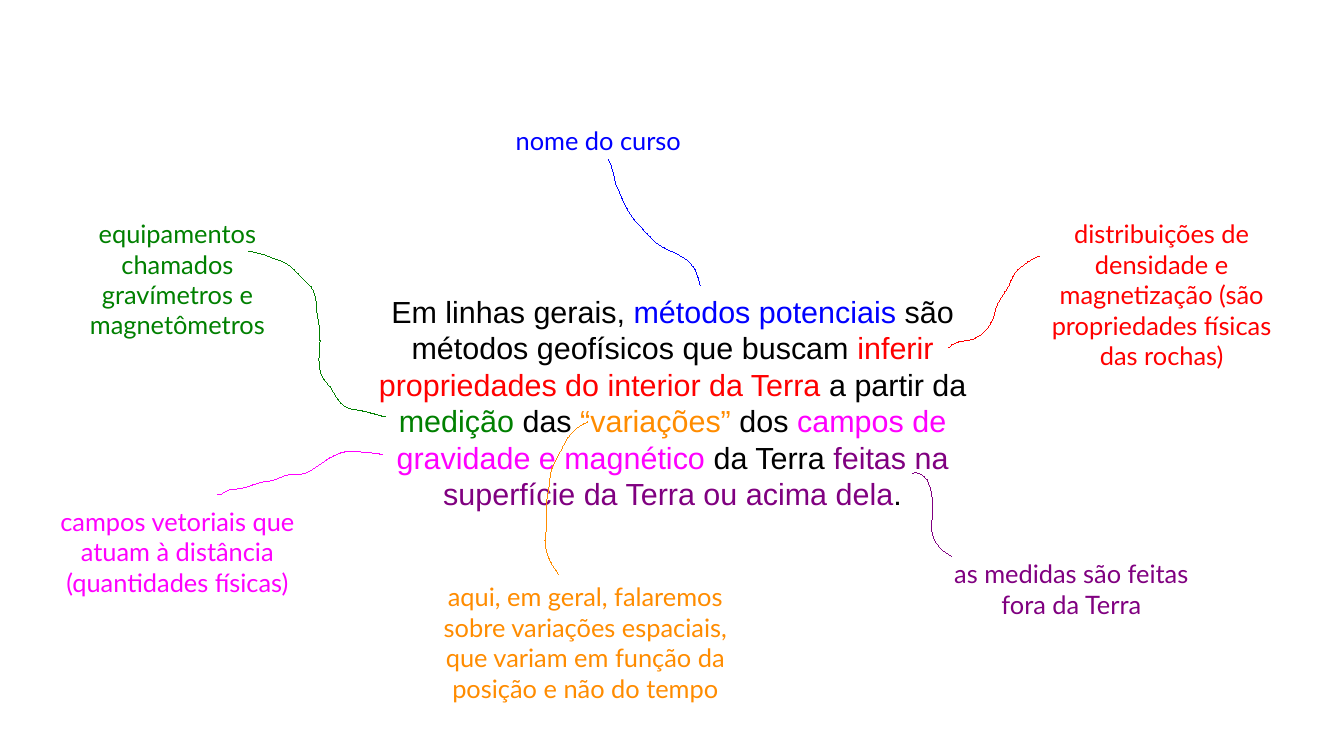
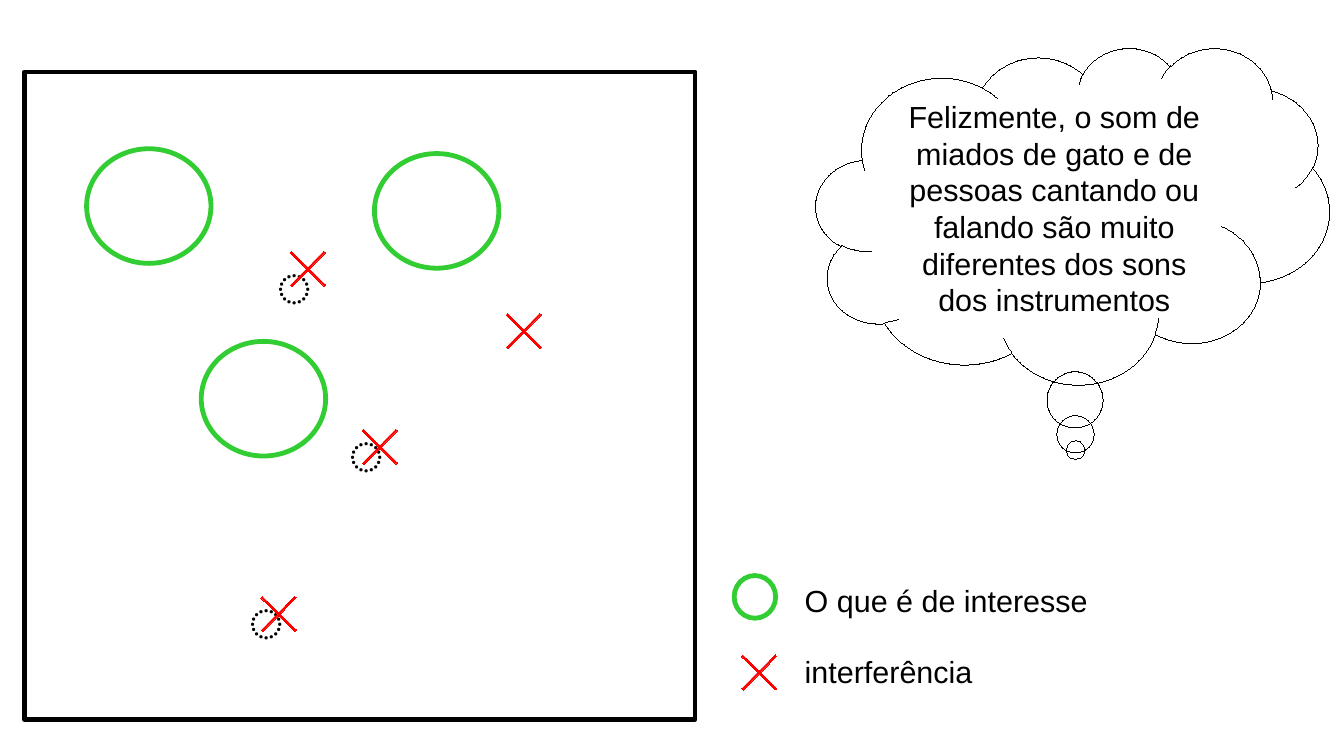
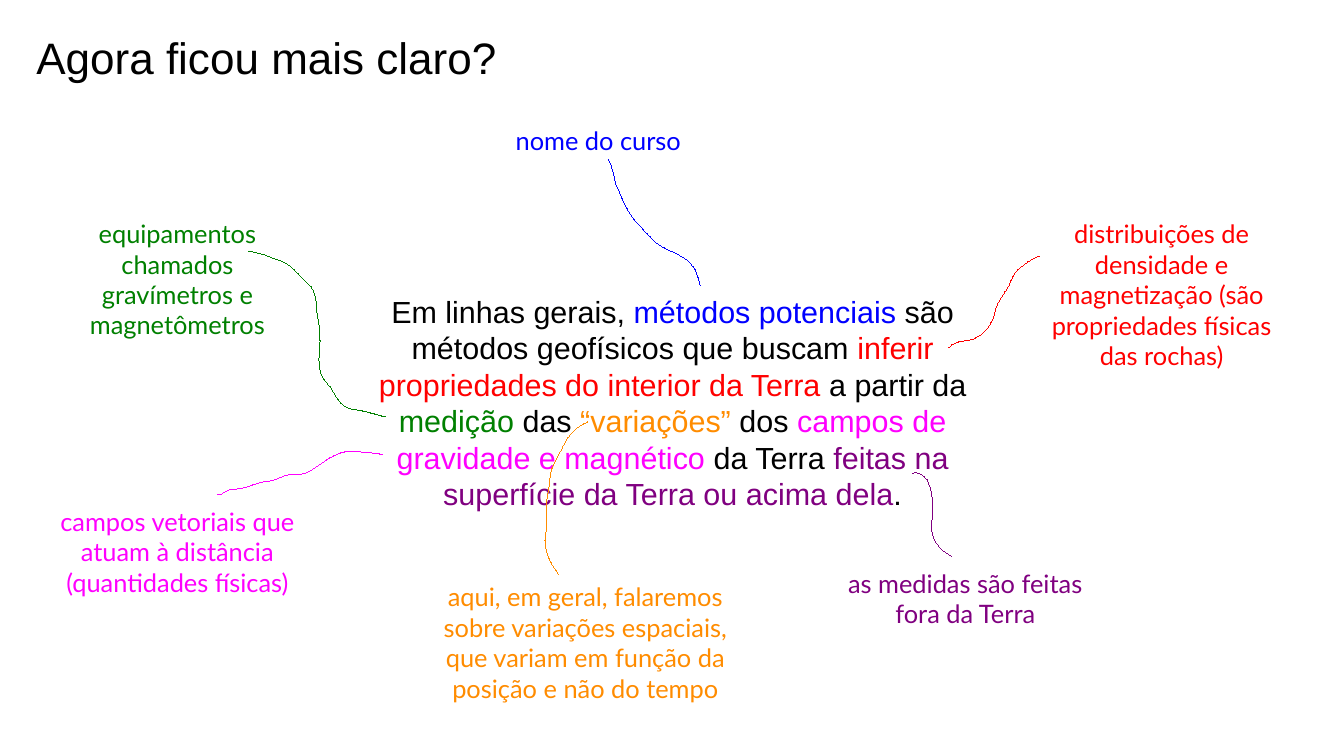
from dataclasses import dataclass, replace
from typing import NamedTuple

from lxml import etree
from pptx import Presentation, util as u
from pptx.dml.color import RGBColor
from pptx.enum import shapes, text
from pptx.oxml.ns import qn

BLACK, BLUE, GREEN, RED = "000000", "0000FF", "008000", "FF0000"
PURPLE, MAGENTA, ORANGE, LIME = "800080", "FF00FF", "FF8C00", "32CD32"
CROSS_SIZE = 0.39


class Area(NamedTuple):
    left: float
    top: float
    width: float
    height: float


class Span(NamedTuple):
    text: str
    colour: str = BLACK


class Style(NamedTuple):
    font: str
    size: float


SYMBOL = Style("Arial", 36)
TITLE = Style("Arial", 26)
BODY = Style("Arial", 18)
NOTE = Style("Lato", 15)


@dataclass(frozen=True)
class Note:
    text: str
    colour: str
    area: Area
    start: tuple
    segments: tuple
    wrap: bool = True


SENTENCE = (
    Span("Em linhas gerais, "),
    Span("métodos potenciais", BLUE),
    Span(" são métodos geofísicos que buscam "),
    Span("inferir propriedades do interior da Terra", RED),
    Span(" a partir da "),
    Span("medição", GREEN),
    Span(" das "),
    Span("“variações”", ORANGE),
    Span(" dos "),
    Span("campos de gravidade e magnético", MAGENTA),
    Span(" da Terra "),
    Span("feitas na superfície da Terra ou acima dela", PURPLE),
    Span("."),
)

COURSE = Note(
    "nome do curso", BLUE, Area(4.13, 0.98, 1.67, 0.38), (5.74, 2.34),
    ((5.72, 2.25, 5.7, 2.17, 5.6, 2.11), (5.52, 2.06, 5.43, 2.04, 5.36, 1.97),
     (5.29, 1.89, 5.21, 1.83, 5.16, 1.74), (5.11, 1.67, 5.09, 1.59, 5.05, 1.51),
     (5.03, 1.42), (5.01, 1.35), (4.99, 1.31)),
    wrap=False,
)
EQUIPMENT = Note(
    "equipamentos chamados gravímetros e magnetômetros", GREEN,
    Area(0.35, 1.74, 2.21, 1.24), (3.16, 3.42),
    ((3.08, 3.4, 2.99, 3.37, 2.91, 3.36), (2.77, 3.35, 2.76, 3.22, 2.68, 3.14),
     (2.61, 3.07, 2.61, 2.96, 2.62, 2.87), (2.63, 2.77, 2.62, 2.67, 2.6, 2.57),
     (2.59, 2.49, 2.6, 2.39, 2.53, 2.33), (2.45, 2.27, 2.39, 2.15, 2.27, 2.13),
     (2.17, 2.09), (2.09, 2.07), (2.04, 2.06)),
)
ROCKS = Note(
    "distribuições de densidade e magnetização (são propriedades físicas das rochas)",
    RED, Area(8.42, 1.74, 2.21, 1.52), (7.78, 2.85),
    ((7.84, 2.78, 7.94, 2.81, 8, 2.77), (8.08, 2.73, 8.15, 2.64, 8.16, 2.55),
     (8.18, 2.45, 8.26, 2.39, 8.29, 2.3), (8.32, 2.21, 8.41, 2.16, 8.49, 2.11),
     (8.52, 2.1)),
)
MEASURES = Note(
    "as medidas são feitas fora da Terra", PURPLE,
    Area(7.68, 4.53, 2.21, 0.67), (7.48, 3.88),
    ((7.6, 3.86, 7.63, 3.99, 7.64, 4.06), (7.66, 4.14, 7.64, 4.23, 7.64, 4.31),
     (7.63, 4.4, 7.69, 4.49, 7.77, 4.54), (7.8, 4.56)),
)
FIELDS = Note(
    "campos vetoriais que atuam à distância (quantidades físicas)", MAGENTA,
    Area(0.35, 4.1, 2.21, 1.24), (3.14, 3.73),
    ((3.06, 3.71, 2.97, 3.71, 2.89, 3.7), (2.8, 3.7, 2.72, 3.74, 2.65, 3.79),
     (2.58, 3.83, 2.52, 3.9, 2.43, 3.89), (2.34, 3.88, 2.27, 3.94, 2.19, 3.95),
     (2.11, 3.95, 2.04, 4, 1.95, 4.01), (1.87, 4.02), (1.8, 4.06), (1.78, 4.06)),
)
VARIATIONS = Note(
    "aqui, em geral, falaremos sobre variações espaciais, "
    "que variam em função da posição e não do tempo", ORANGE,
    Area(3.5, 4.72, 2.6, 1.52), (4.82, 3.46),
    ((4.73, 3.49, 4.66, 3.57, 4.62, 3.65), (4.58, 3.74, 4.52, 3.81, 4.51, 3.91),
     (4.51, 3.99, 4.48, 4.07, 4.48, 4.16), (4.48, 4.24, 4.49, 4.32, 4.47, 4.39),
     (4.46, 4.5, 4.5, 4.6, 4.56, 4.68), (4.58, 4.71)),
)

INTEREST_CIRCLES = (
    Area(0.71, 1.22, 1.02, 0.94),
    Area(3.07, 1.26, 1.02, 0.94),
    Area(1.65, 2.8, 1.02, 0.94),
    Area(6.02, 4.72, 0.34, 0.35),
)
CROSS_CORNERS = ((2.33, 2.01), (2.92, 3.47), (4.1, 2.52), (2.09, 4.84), (6.03, 5.32))
SYMBOL_AREAS = (
    Area(2.17, 1.97, 1.18, 0.79),
    Area(1.94, 4.72, 0.82, 0.66),
    Area(2.76, 3.35, 0.82, 0.66),
)


def rgb(colour: str) -> RGBColor:
    return RGBColor.from_string(colour)


def inches(values) -> tuple:
    return tuple(u.Inches(value) for value in values)


def write(frame, spans, style: Style, centred: bool) -> None:
    para = frame.paragraphs[0]
    para.alignment = text.PP_ALIGN.CENTER if centred else text.PP_ALIGN.LEFT
    for item in spans:
        span = para.add_run()
        span.text = item.text
        span.font.name = style.font
        span.font.size = u.Pt(style.size)
        span.font.color.rgb = rgb(item.colour)


def add_text(page, area: Area, spans, style: Style, wrap: bool = False) -> None:
    frame = page.shapes.add_textbox(*inches(area)).text_frame
    frame.word_wrap = wrap
    frame.auto_size = text.MSO_AUTO_SIZE.SHAPE_TO_FIT_TEXT
    write(frame, spans, style, centred=wrap)


def outline(shape, colour: str, width: float = 0) -> None:
    shape.shadow.inherit = False
    shape.fill.background()
    shape.line.color.rgb = rgb(colour)
    shape.element.spPr.find(qn("a:ln")).set("w", str(u.Pt(width)))


def add_outlined(page, kind, area: Area, colour: str, width: float = 0):
    shape = page.shapes.add_shape(kind, *inches(area))
    outline(shape, colour, width)
    return shape


def add_cross(page, left: float, top: float) -> None:
    area = Area(left, top, CROSS_SIZE, CROSS_SIZE)
    cross = add_outlined(page, shapes.MSO_SHAPE.CROSS, area, RED)
    cross.adjustments[0] = 0.478
    cross.rotation = 314.6
    cross.fill.solid()
    cross.fill.fore_color.rgb = rgb(RED)


def add_curve(page, start: tuple, segments: tuple, colour: str) -> None:
    builder = page.shapes.build_freeform(*inches(start))
    builder.add_line_segments([inches(segment[-2:]) for segment in segments], close=False)
    curve = builder.convert_to_shape()
    outline(curve, colour)
    pieces = list(curve.element.iter(qn("a:lnTo")))
    for piece, segment in zip(pieces, segments):
        if len(segment) == 2:
            continue
        piece.tag = qn("a:cubicBezTo")
        x1, y1, x2, y2 = inches(segment[:4])
        for index, (x, y) in enumerate(((x1, y1), (x2, y2))):
            handle = etree.Element(qn("a:pt"), x=str(x - curve.left), y=str(y - curve.top))
            piece.insert(index, handle)


def add_note(page, note: Note) -> None:
    add_text(page, note.area, [Span(note.text, note.colour)], NOTE, note.wrap)
    add_curve(page, note.start, note.segments, note.colour)


def add_page(deck):
    return deck.slides.add_slide(deck.slide_layouts[6])


def build_definition(deck, measures: Note):
    page = add_page(deck)
    add_text(page, Area(2.66, 2.35, 5.71, 1.78), SENTENCE, BODY, wrap=True)
    for note in (COURSE, EQUIPMENT, ROCKS, measures, FIELDS, VARIATIONS):
        add_note(page, note)
    return page


def build_interference(deck) -> None:
    page = add_page(deck)
    preset = shapes.MSO_SHAPE
    for area in SYMBOL_AREAS:
        add_text(page, area, [Span("️")], SYMBOL)
    add_outlined(page, preset.RECTANGLE, Area(0.2, 0.59, 5.5, 5.31), BLACK, 2.83)

    cloud = add_outlined(page, preset.CLOUD_CALLOUT, Area(6.69, 0.39, 4.21, 2.76), BLACK)
    cloud.adjustments[0] = 0.006
    cloud.adjustments[1] = 0.696
    frame = cloud.text_frame
    frame.word_wrap = True
    frame.vertical_anchor = text.MSO_ANCHOR.MIDDLE
    thought = Span(
        "Felizmente, o som de miados de gato e de pessoas cantando ou falando "
        "são muito diferentes dos sons dos instrumentos"
    )
    write(frame, [thought], BODY, centred=True)

    for area in INTEREST_CIRCLES:
        add_outlined(page, preset.OVAL, area, LIME, 2.83)
    for left, top in CROSS_CORNERS:
        add_cross(page, left, top)
    add_text(page, Area(6.5, 4.72, 2.52, 0.38), [Span("O que é de interesse")], BODY)
    add_text(page, Area(6.5, 5.31, 1.6, 0.38), [Span("interferência")], BODY)


def main() -> None:
    deck = Presentation()
    deck.slide_width, deck.slide_height = inches((11.02, 6.2))
    build_definition(deck, MEASURES)
    build_interference(deck)
    moved = replace(MEASURES, area=Area(6.81, 4.61, 2.21, 0.67))
    page = build_definition(deck, moved)
    add_text(page, Area(0.2, 0.2, 3.98, 0.5), [Span("Agora ficou mais claro?")], TITLE)
    deck.save("out.pptx")


if __name__ == "__main__":
    main()
